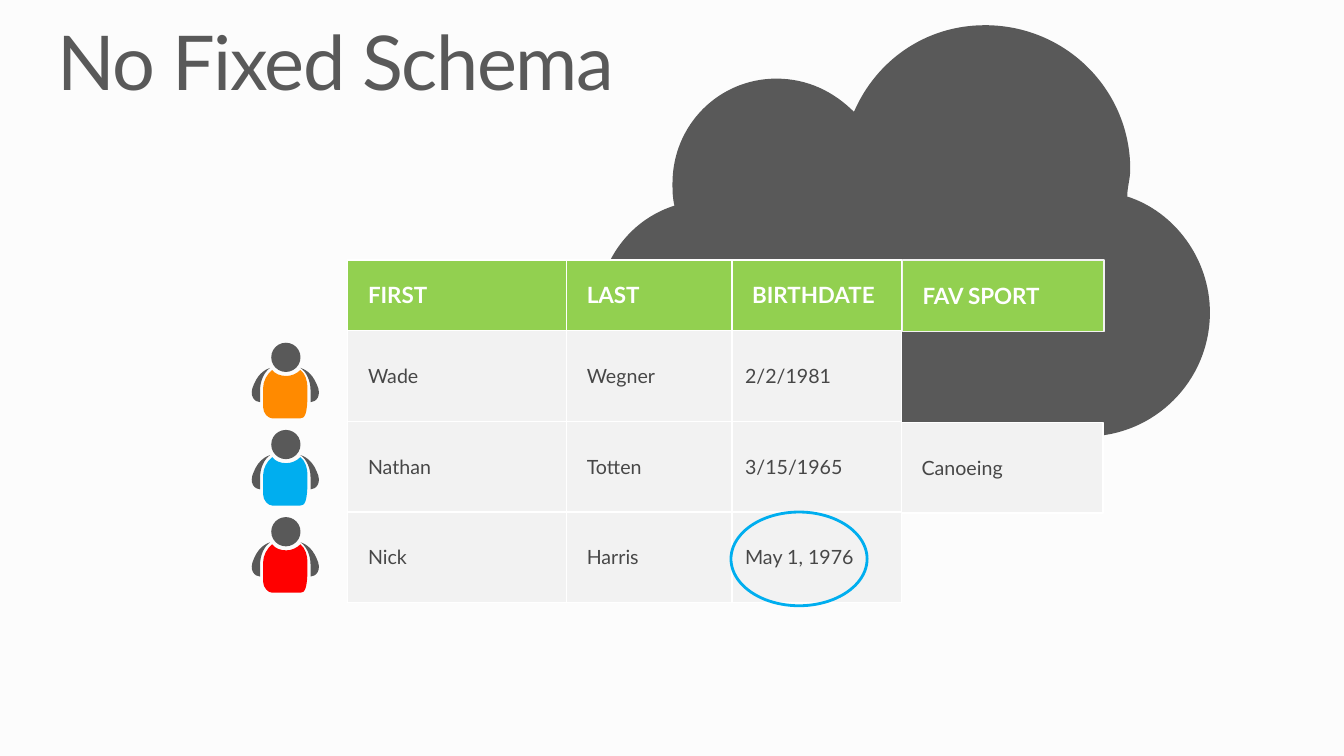
from lxml import etree
from pptx import Presentation
from pptx.dml.color import RGBColor
from pptx.enum.shapes import MSO_SHAPE as Shape
from pptx.enum.text import MSO_ANCHOR as Anchor, PP_ALIGN as Align
from pptx.oxml.ns import qn
from pptx.util import Inches, Pt

rgb = RGBColor.from_string
GRAY, PALE, WHITE, GREEN, BLUE = "595959", "F2F2F2", "FFFFFF", "92D050", "00AEEF"
HEAD = {"size": Pt(16), "bold": True, "name": "Lato"}
BODY = {"size": Pt(14), "bold": False, "name": "Lato"}


def paint(sp, fill=None, line=None, width=1):
    sp.shadow.inherit = False
    for part, color in ((sp.fill, fill), (sp.line.fill, line)):
        if color:
            part.solid()
            part.fore_color.rgb = rgb(color)
        else:
            part.background()
    if line:
        sp.line.width = Pt(width)


def write(tf, text, color, font):
    tf.word_wrap = True
    p = tf.paragraphs[0]
    p.alignment = Align.LEFT
    r = p.add_run()
    r.text = text
    r.font.color.rgb = rgb(color)
    for key, value in font.items():
        setattr(r.font, key, value)
    return p


prs = Presentation()
prs.slide_width, prs.slide_height = Inches(13.33), Inches(7.5)
s = prs.slides.add_slide(prs.slide_layouts[6])
s.background.fill.solid()
s.background.fill.fore_color.rgb = rgb("FCFCFC")

cloud = [(11.18, 1.95), (11.18, 1.86, 11.21, 1.77, 11.21, 1.68),
         (11.21, 0.89, 10.57, 0.25, 9.77, 0.25), (9.18, 0.25, 8.69, 0.6, 8.47, 1.11),
         (8.27, 0.91, 8.01, 0.78, 7.7, 0.78), (7.13, 0.78, 6.67, 1.24, 6.67, 1.82),
         (6.67, 1.88, 6.67, 1.97, 6.69, 2.04), (6.22, 2.19, 5.92, 2.63, 5.92, 3.14),
         (5.92, 3.8, 6.44, 4.33, 7.11, 4.33), (10.77, 4.33),
         (11.45, 4.33, 12, 3.78, 12, 3.1), (12, 2.57, 11.65, 2.1, 11.18, 1.95)]
left_arm = [(2.68, 3.65), (2.65, 3.66, 2.57, 3.69, 2.52, 3.81),
            (2.46, 3.93, 2.53, 3.99, 2.58, 3.99), (2.58, 3.87),
            (2.58, 3.78, 2.62, 3.69, 2.68, 3.65)]
right_arm = [[5.66 - v if i % 2 == 0 else v for i, v in enumerate(seg)] for seg in left_arm]
torso = [(3.05, 3.85), (3.05, 3.78, 3.03, 3.71, 2.98, 3.67),
         (2.94, 3.71, 2.89, 3.73, 2.84, 3.73), (2.78, 3.73, 2.73, 3.71, 2.7, 3.67),
         (2.65, 3.71, 2.61, 3.78, 2.61, 3.85), (2.61, 4.04),
         (2.61, 4.1, 2.66, 4.15, 2.7, 4.15), (2.98, 4.15),
         (3.02, 4.15, 3.05, 4.12, 3.05, 3.9)]

outlines = [(s.shapes, cloud, 0, GRAY)]

title = s.shapes.add_textbox(Inches(0.57), Inches(0.25), Inches(12.19), Inches(0.82))
tf = title.text_frame
for side in ("left", "top", "right", "bottom"):
    setattr(tf, f"margin_{side}", 0)
p = write(tf, "No Fixed Schema", GRAY, {"size": Pt(54), "name": "Lato"})
p.line_spacing = 0.9
p.runs[0].font._element.set("spc", "-100")

rows = [("FIRST", "LAST", "BIRTHDATE"), ("Wade", "Wegner", "2/2/1981"),
        ("Nathan", "Totten", "3/15/1965"), ("Nick", "Harris", "May 1, 1976")]
frame = s.shapes.add_table(4, 4, Inches(1.29), Inches(2.58), Inches(7.65), Inches(3.4))
table = frame.table
table.first_row = table.horz_banding = False
table._tbl.tblPr[0].text = "{2D5ABB26-0587-4C30-8999-92F81FD0307C}"
for col, width in zip(table.columns, (2.16, 2.17, 1.64, 1.68)):
    col.width = Inches(width)
for i, names in enumerate(rows):
    table.rows[i].height = Inches(0.9 if i else 0.7)
    table.cell(i, 0).fill.background()
    for j, text in enumerate(names, 1):
        cell = table.cell(i, j)
        cell.vertical_anchor = Anchor.MIDDLE
        cell.margin_left = cell.margin_right = Inches(0.13 if i and j == 3 else 0.2)
        tcPr = cell._tc.get_or_add_tcPr()
        for tag in ("a:lnL", "a:lnR", "a:lnT", "a:lnB"):
            ln = etree.SubElement(tcPr, qn(tag), w="12700")
            etree.SubElement(etree.SubElement(ln, qn("a:solidFill")), qn("a:srgbClr"), val=WHITE)
        cell.fill.solid()
        cell.fill.fore_color.rgb = rgb(PALE if i else GREEN)
        write(cell.text_frame, text, "474747" if i else WHITE, BODY if i else HEAD)

ovals = [(s.shapes, 7.25, 5.08, 1.35, 0.93, None, BLUE, 2)]
for i, shirt in enumerate(("FF8A00", BLUE, "FF0000")):
    person, drop = s.shapes.add_group_shape().shapes, i * 1.73 / 2
    outlines += [(person, left_arm, drop, GRAY), (person, right_arm, drop, GRAY),
                 (person, torso, drop, shirt)]
    ovals.append((person, 2.69, 3.4 + drop, 0.29, 0.29, GRAY, None, 1))

for shapes, segments, drop, color in outlines:
    start, *points = [(Inches(x), Inches(y + drop)) for seg in segments
                      for x, y in zip(seg[::2], seg[1::2])]
    builder = shapes.build_freeform(*start)
    builder.add_line_segments(points)
    sp = builder.convert_to_shape()
    steps = iter(list(sp._element.iter(qn("a:lnTo"))))
    for seg in segments[1:]:
        step = next(steps)
        if len(seg) == 6:
            step.tag = qn("a:cubicBezTo")
            for extra in (next(steps), next(steps)):
                step.append(extra[0])
                extra.getparent().remove(extra)
    paint(sp, color)
    if segments is cloud:
        s.shapes._spTree.insert(2, sp._element)

for shapes, x, y, w, h, fill, line, width in ovals:
    sp = shapes.add_shape(Shape.OVAL, Inches(x), Inches(y), Inches(w), Inches(h))
    paint(sp, fill, line, width)

for text, x, y, h, fill, line, color, font in (
        ("FAV SPORT", 8.95, 2.58, 0.71, GREEN, PALE, WHITE, HEAD),
        ("Canoeing", 8.94, 4.19, 0.9, PALE, WHITE, "474747", BODY)):
    sp = s.shapes.add_shape(Shape.RECTANGLE, Inches(x), Inches(y), Inches(2), Inches(h))
    paint(sp, fill, line)
    sp.text_frame.margin_left = Inches(0.2)
    sp.text_frame.vertical_anchor = Anchor.MIDDLE
    write(sp.text_frame, text, color, font)

prs.save("out.pptx")
